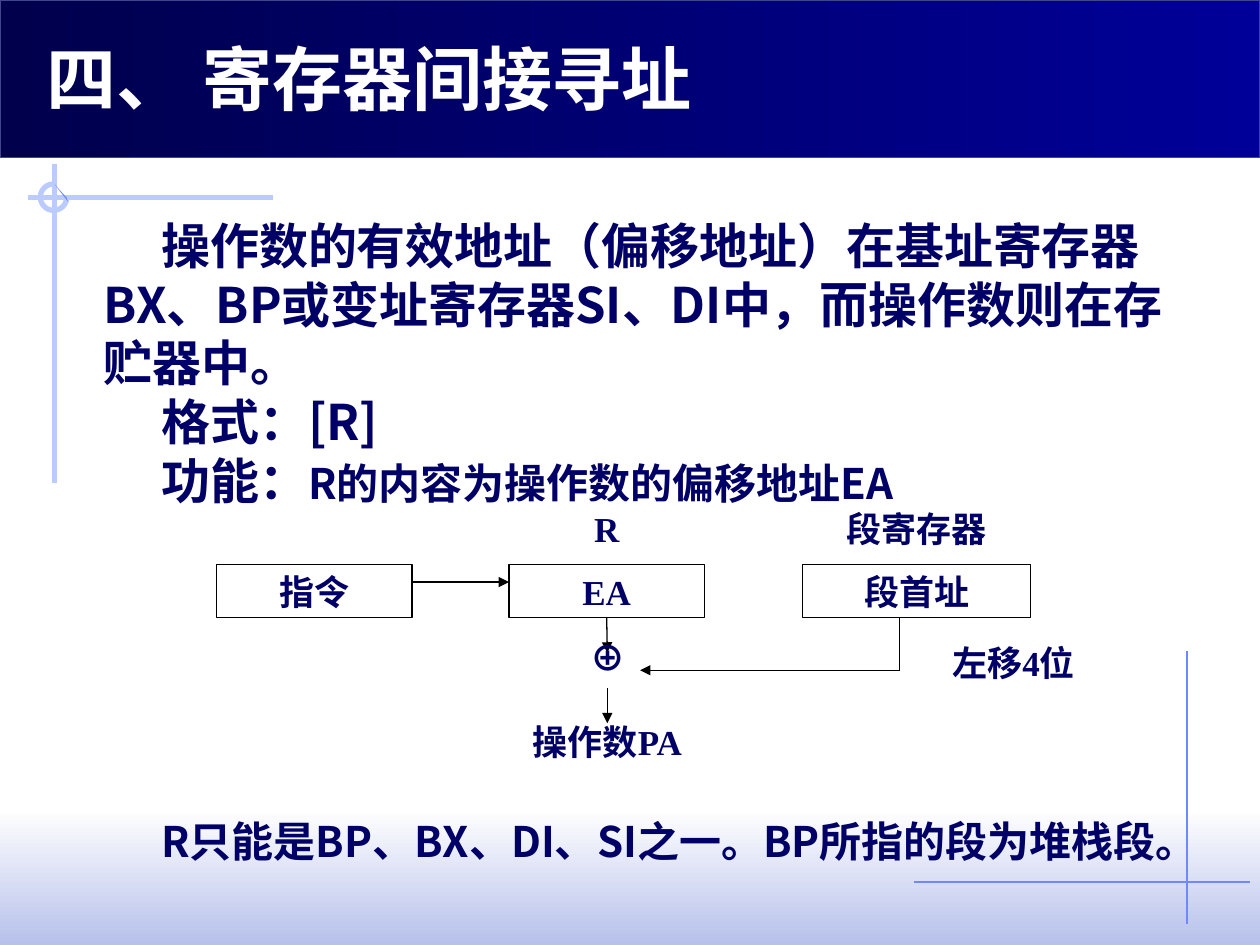
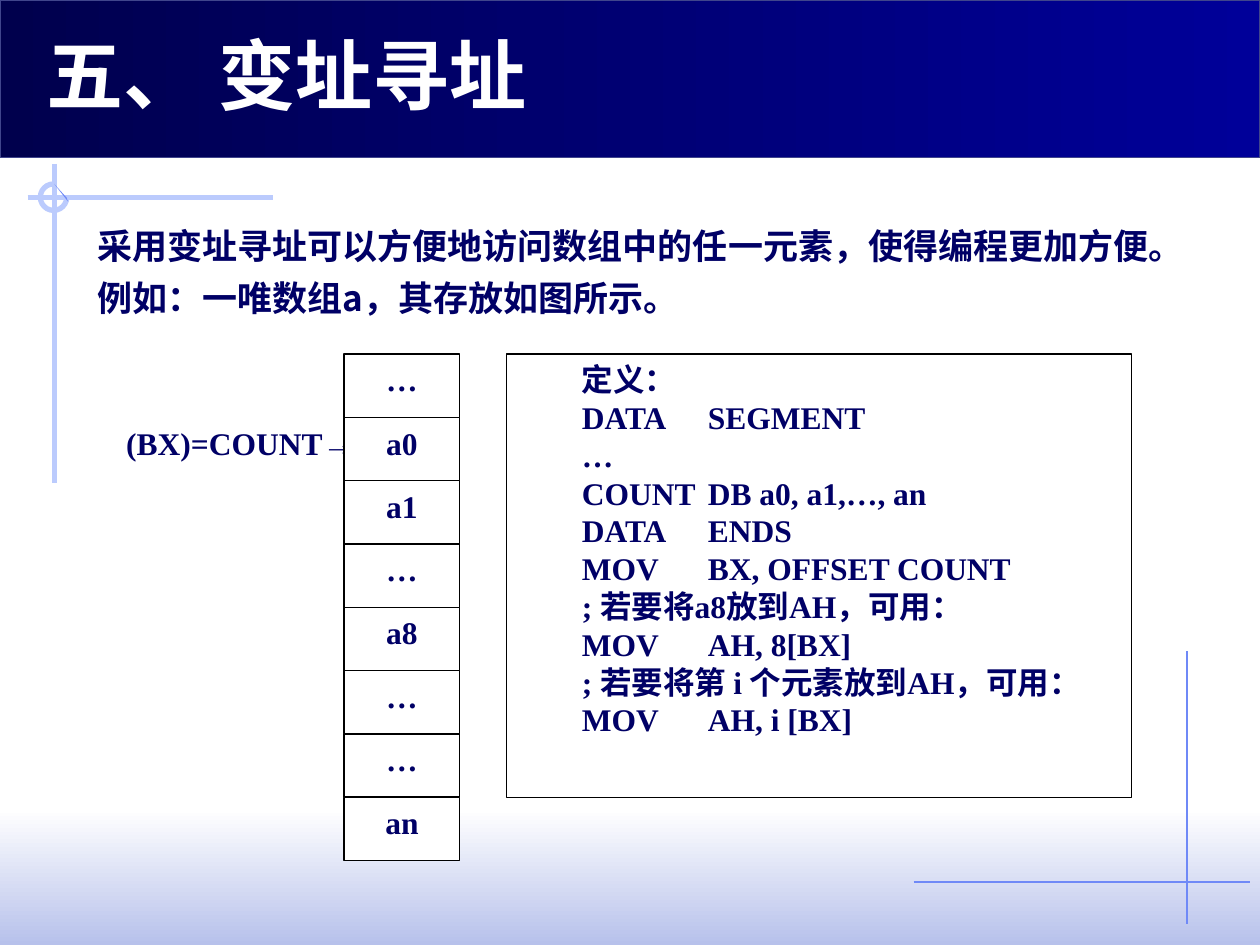
from lxml.etree import SubElement
from pptx import Presentation
from pptx.dml.color import RGBColor
from pptx.enum.shapes import MSO_CONNECTOR as Conn, MSO_SHAPE as Kind
from pptx.enum.text import MSO_ANCHOR as Anchor, MSO_AUTO_SIZE as Auto, PP_ALIGN as Align
from pptx.oxml.ns import qn
from pptx.util import Inches, Pt

HUES = {
    "ink": "000066", "white": "FFFFFF", "black": "000000",
    "deep": "00004D", "navy": "000099", "edge": "40458C",
    "pale": "BBCBFD", "sky": "6F89F7", "mist": "B7C1EB",
}
SANS, HEAD, SERIF = "Noto Sans CJK SC", "Noto Sans CJK JP", "Times New Roman"
LEAD = 1.2


def hue(name):
    """Return the named colour."""
    return RGBColor.from_string(HUES[name])


def place(shape, box):
    """Move a shape to a box given in inches."""
    shape.left, shape.top, shape.width, shape.height = map(Inches, box)


def style(para, size, face=SERIF, color="ink", align=Align.LEFT, indent=0, before=0, tab=None):
    """Format one paragraph without a bullet."""
    props = para._p.get_or_add_pPr()
    props.set("marL", "0")
    props.set("indent", str(Inches(indent)))
    SubElement(props, qn("a:buNone"))
    if tab:
        stops = SubElement(props, qn("a:tabLst"))
        SubElement(stops, qn("a:tab"), pos=str(Inches(tab)), algn="l")
    para.alignment = align
    para.line_spacing = Pt(size * LEAD)
    para.space_before = Pt(before)
    font = para.font
    font.size, font.bold, font.name = Pt(size), True, face
    font.color.rgb = hue(color)
    SubElement(font._rPr, qn("a:ea"), typeface=SANS if face == SERIF else face)


def fill_text(frame, lines, size, **looks):
    """Write lines of one style into a text frame."""
    frame.word_wrap = True
    frame.auto_size = Auto.NONE
    frame.text = "\n".join(lines)
    for para in frame.paragraphs:
        style(para, size, **looks)


def set_title(slide, text, size):
    """Place and format the title."""
    title = slide.shapes.title
    place(title, (0.27, 0.28, 7.41, 0.72))
    fill_text(title.text_frame, [text], size, face=HEAD, color="white")
    title.text_frame.vertical_anchor = Anchor.BOTTOM


def block(slide, box, kind=Kind.RECTANGLE, fill="white", edge=None, width=0.75):
    """Add a flat preset shape."""
    shape = slide.shapes.add_shape(kind, *map(Inches, box))
    shape.shadow.inherit = False
    if fill:
        shape.fill.solid()
        shape.fill.fore_color.rgb = hue(fill)
    else:
        shape.fill.background()
    if edge:
        shape.line.color.rgb = hue(edge)
        shape.line.width = Pt(width)
    else:
        shape.line.fill.background()
    return shape


def label(slide, box, text, size=20, edge=None, align=Align.CENTER):
    """Add a white box holding one line."""
    shape = block(slide, box, edge=edge)
    fill_text(shape.text_frame, [text], size, align=align)
    shape.text_frame.vertical_anchor = Anchor.TOP
    return shape


def rule(slide, start, end, color="black", width=0.75, arrow=False):
    """Add a straight line, with an arrowhead if asked."""
    line = slide.shapes.add_connector(Conn.STRAIGHT, *map(Inches, start + end))
    line.line.color.rgb = hue(color)
    line.line.width = Pt(width)
    if arrow:
        SubElement(line.line._get_or_add_ln(), qn("a:tailEnd"), type="triangle")
    SubElement(line.element.spPr, qn("a:effectLst"))
    return line


def shade(shape, first, last, angle):
    """Fill a shape with a two-colour gradient."""
    shape.fill.gradient()
    shape.fill.gradient_angle = angle
    for stop, name in zip(shape.fill.gradient_stops, (first, last)):
        stop.color.rgb = hue(name)


def draw_frame(slide):
    """Draw the bands, cross lines and ring shared by all slides."""
    shade(block(slide, (0, 6.42, 10, 1.08)), "white", "mist", 270)
    rule(slide, (9.42, 5.17), (9.42, 7.33), "sky")
    rule(slide, (7.25, 7), (9.92, 7), "sky")
    rule(slide, (0.22, 1.57), (2.17, 1.57), "pale", 3)
    rule(slide, (0.43, 1.3), (0.43, 3.83), "pale", 3)
    ring = block(slide, (0.32, 1.46, 0.21, 0.21), Kind.ARC, None, "pale", 3)
    ring.adjustments[0], ring.adjustments[1] = 0, 162
    pen = slide.shapes.build_freeform(Inches(0.53), Inches(1.57))
    pen.add_line_segments([(Inches(x), Inches(y)) for x, y in ((0.54, 1.6), (0.43, 1.46))])
    sliver = pen.convert_to_shape()
    sliver.shadow.inherit = False
    sliver.fill.solid()
    sliver.fill.fore_color.rgb = hue("sky")
    sliver.line.fill.background()
    shade(block(slide, (0, 0, 10, 1.25), edge="edge"), "deep", "navy", 0)


def share_frame(slide, layout):
    """Draw the frame and hand it to the layout."""
    draw_frame(slide)
    parts = [shape for shape in slide.shapes if not shape.is_placeholder]
    for number, shape in enumerate(parts, 20):
        shape.element.xpath(".//p:cNvPr")[0].set("id", str(number))
        layout.shapes.element.insert_element_before(shape.element, "p:extLst")


def draw_flow(slide, left, top):
    """Draw how the address is formed, from its top left corner."""
    def at(x, y):
        return left + x, top + y

    def box(x, y, wide, high=0.42):
        return at(x, y) + (wide, high)

    label(slide, box(0, 0.5, 1.55), "指令", edge="black")
    offset = label(slide, box(2.32, 0.5, 1.55), "EA", edge="black")
    label(slide, box(4.65, 0.5, 1.81), "段首址", edge="black")
    rule(slide, at(1.55, 0.64), at(2.32, 0.64), arrow=True)
    drop = rule(slide, at(3.1, 0.92), at(3.1, 1.2), arrow=True)
    drop.begin_connect(offset, 2)
    label(slide, box(1.81, 1.69, 2.58, 0.43), "操作数PA")
    label(slide, box(5.42, 1.06, 1.81), "左移4位")
    label(slide, box(2.32, 0, 1.55), "R")
    label(slide, box(4.65, 0, 1.81), "段寄存器")
    rule(slide, at(5.42, 0.92), at(5.42, 1.34))
    rule(slide, at(5.42, 1.34), at(3.36, 1.34), arrow=True)
    rule(slide, at(3.1, 1.48), at(3.1, 1.76), arrow=True)
    plus = slide.shapes.add_textbox(*map(Inches, box(2.87, 1.02, 0.42, 0.44)))
    fill_text(plus.text_frame, ["⊕"], 20, face=SANS)
    plus.text_frame.word_wrap = False


def draw_array(slide, left, top, wide, high, cells):
    """Stack the array cells, with the base pointer at the second."""
    step = high / len(cells)
    label(slide, (left - 2.02, top + step, 2.2, step), "(BX)=COUNT→", 18, align=Align.RIGHT)
    for row, text in enumerate(cells):
        label(slide, (left, top + row * step, wide, step), text, 18, "black")


def draw_code(slide, box, lines):
    """Draw the framed program listing."""
    shape = block(slide, box, edge="black")
    fill_text(shape.text_frame, lines, 18, indent=0.5, tab=2)
    shape.text_frame.vertical_anchor = Anchor.TOP


def indirect_slide(slide):
    """Fill the slide on register indirect addressing."""
    set_title(slide, "四、 寄存器间接寻址", 40)
    body = slide.placeholders[1]
    place(body, (0.72, 1.66, 8.61, 5.23))
    frame = body.text_frame
    frame.word_wrap = True
    frame.auto_size = Auto.NONE
    texts = (
        ("操作数的有效地址（偏移地址）在基址寄存器BX、BP或变址寄存器SI、DI中，而操作数则在存贮器中。", 28, 0),
        ("格式：[R]", 28, 0),
        ("功能：", 28, 0),
        ("R只能是BP、BX、DI、SI之一。BP所指的段为堆栈段。", 24, 175),
    )
    frame.text = "\n".join(text for text, _, _ in texts)
    for para, (_, size, before) in zip(frame.paragraphs, texts):
        style(para, size, face=SANS, indent=0.46, before=before)
    role = frame.paragraphs[2].add_run()
    role.text = "R的内容为操作数的偏移地址EA"
    role.font.size = Pt(24)
    draw_flow(slide, 1.72, 3.98)


def indexed_slide(slide):
    """Fill the slide on indexed addressing."""
    set_title(slide, "五、 变址寻址", 44)
    body = slide.placeholders[1]
    place(body, (0.67, 1.73, 8.74, 0.87))
    lines = [
        "采用变址寻址可以方便地访问数组中的任一元素，使得编程更加方便。",
        "例如：一唯数组a，其存放如图所示。",
    ]
    fill_text(body.text_frame, lines, 20, face=SANS)
    body.text_frame.paragraphs[1].space_before = Pt(6)
    draw_code(slide, (4.02, 2.81, 4.96, 3.52), [
        "定义：",
        "DATA\tSEGMENT",
        "…",
        "COUNT\tDB a0, a1,…, an",
        "DATA\tENDS",
        "MOV \tBX, OFFSET COUNT",
        "; 若要将a8放到AH，可用：",
        "MOV \tAH, 8[BX]",
        "; 若要将第 i 个元素放到AH，可用：",
        "MOV \tAH, i [BX]",
    ])
    cells = ["…", "a0", "a1", "…", "a8", "…", "…", "an"]
    draw_array(slide, 2.73, 2.81, 0.92, 4.02, cells)


def main():
    """Build and save the slides."""
    deck = Presentation()
    deck.slide_width, deck.slide_height = Inches(10), Inches(7.5)
    layout = deck.slide_layouts[1]
    for number, build in enumerate((indirect_slide, indexed_slide)):
        slide = deck.slides.add_slide(layout)
        if number == 0:
            share_frame(slide, layout)
        build(slide)
    deck.save("out.pptx")


if __name__ == "__main__":
    main()
